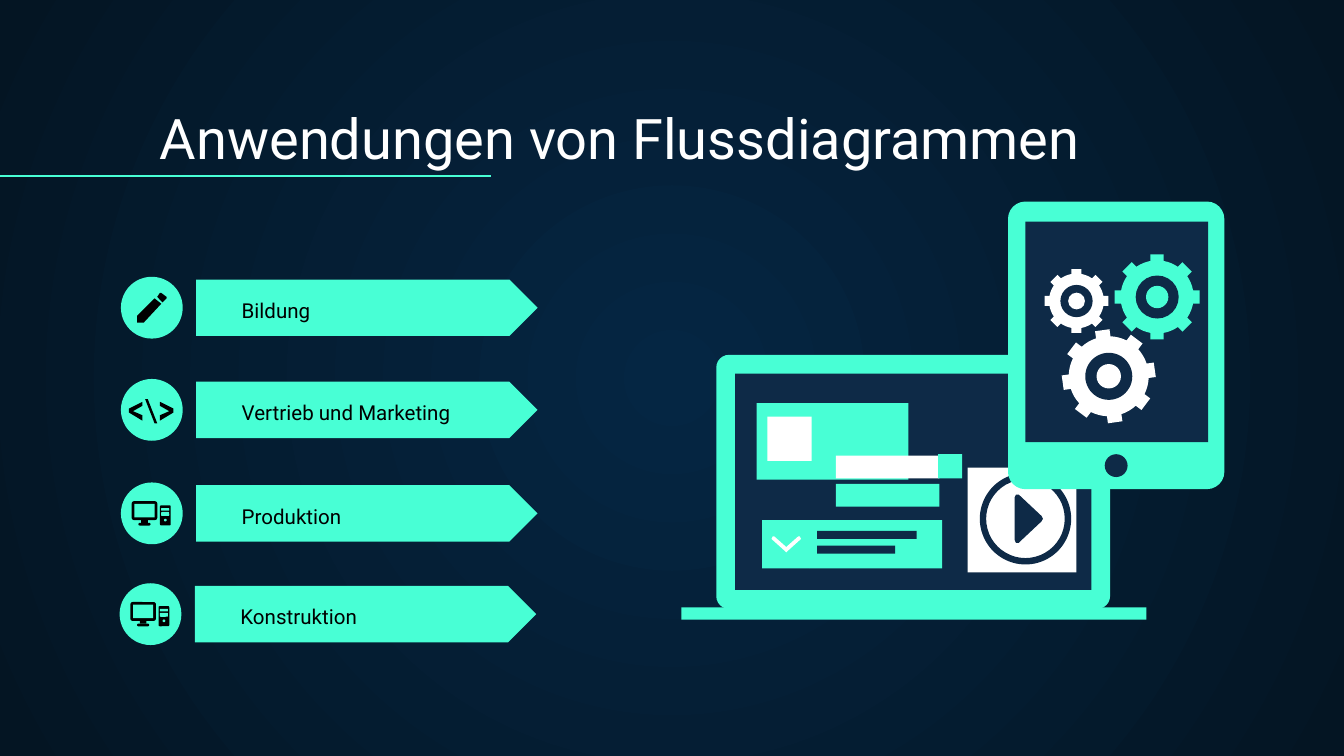
import math
import pptx
import pptx.util
import pptx.dml.color
import pptx.enum.shapes
import pptx.enum.text
import pptx.oxml.ns
from lxml import etree

Inches = pptx.util.Inches
qn = pptx.oxml.ns.qn
KIND = pptx.enum.shapes.MSO_SHAPE
RECT, ROUND, OVAL = KIND.RECTANGLE, KIND.ROUNDED_RECTANGLE, KIND.OVAL

THEME = {
    "mint": "48FFD5", "navy": "0E2A47", "white": "FFFFFF", "black": "000000",
    "glow": "052643", "edge": "041523",
    "font": "Roboto", "title": 30, "label": 11, "rule": 0.75,
}

TITLE = "Anwendungen von Flussdiagrammen"
# label, icon, left and top of the round badge
ROWS = [
    ("Bildung", "pencil", 0.9, 2.06),
    ("Vertrieb und Marketing", "code", 0.9, 2.82),
    ("Produktion", "computer", 0.9, 3.59),
    ("Konstruktion", "computer", 0.89, 4.34),
]
BADGE, PLATE_W, PLATE_H = 0.46, 2.54, 0.42

# Part: (preset, colour, left, top, width, height[, adjustment]) or ("poly", colour, points)
# Icon parts are measured from the corner of the badge.
ICONS = {
    "pencil": [
        ("poly", "black", [(0.25, 0.16), (0.12, 0.29), (0.12, 0.34), (0.17, 0.34), (0.3, 0.2)]),
        ("poly", "black", [(0.29, 0.12), (0.27, 0.15), (0.31, 0.19), (0.34, 0.16),
                           (0.34, 0.15), (0.3, 0.12)]),
    ],
    "code": [
        ("poly", "black", [(0.16, 0.31), (0.06, 0.25), (0.06, 0.22), (0.16, 0.17),
                           (0.16, 0.2), (0.09, 0.24), (0.16, 0.27)]),
        ("poly", "black", [(0.25, 0.33), (0.18, 0.15), (0.2, 0.15), (0.27, 0.33)]),
        ("poly", "black", [(0.29, 0.31), (0.29, 0.27), (0.36, 0.24), (0.29, 0.2),
                           (0.29, 0.17), (0.39, 0.22), (0.39, 0.25)]),
    ],
    "computer": [
        (ROUND, "black", 0.08, 0.14, 0.19, 0.14, 0.12),
        (RECT, "mint", 0.1, 0.16, 0.15, 0.1),
        (RECT, "black", 0.15, 0.28, 0.05, 0.02),
        (ROUND, "black", 0.13, 0.3, 0.09, 0.02, 0.5),
        (ROUND, "black", 0.29, 0.17, 0.08, 0.15, 0.12),
        (ROUND, "mint", 0.3, 0.19, 0.06, 0.02, 0.2),
        (ROUND, "mint", 0.3, 0.22, 0.06, 0.03, 0.2),
        (OVAL, "mint", 0.32, 0.27, 0.02, 0.02),
    ],
}

LAPTOP = [
    (ROUND, "mint", 5.33, 2.64, 2.93, 1.89, 0.05),
    (RECT, "navy", 5.47, 2.78, 2.65, 1.61),
    (RECT, "mint", 5.07, 4.52, 3.46, 0.09),
    (RECT, "mint", 5.63, 3, 1.13, 0.57),
    (RECT, "white", 5.71, 3.1, 0.33, 0.33),
    (RECT, "mint", 6.02, 3.87, 0.99, 0.36),
    (RECT, "navy", 6.08, 3.95, 0.74, 0.06),
    (RECT, "navy", 6.08, 4.06, 0.58, 0.06),
    (RECT, "mint", 5.67, 3.87, 0.35, 0.36),
    ("poly", "white", [(5.75, 3.99), (5.76, 3.99), (5.85, 4.07), (5.94, 3.99), (5.95, 3.99),
                       (5.96, 4.01), (5.86, 4.1), (5.85, 4.11), (5.84, 4.1), (5.74, 4.01)]),
    (RECT, "mint", 6.22, 3.6, 0.77, 0.17),
    (RECT, "white", 6.22, 3.39, 0.77, 0.17),
    (RECT, "mint", 6.98, 3.38, 0.18, 0.18),
    (RECT, "white", 7.2, 3.48, 0.81, 0.78),
    (KIND.DONUT, "navy", 7.29, 3.52, 0.68, 0.68, 0.07),
    ("poly", "navy", [(7.55, 3.7), (7.56, 3.68), (7.58, 3.68), (7.59, 3.69), (7.75, 3.84),
                      (7.76, 3.86), (7.75, 3.88), (7.59, 4.03), (7.58, 4.04), (7.56, 4.04),
                      (7.55, 4.02)]),
]
TABLET = [
    (ROUND, "mint", 7.5, 1.5, 1.61, 2.14, 0.08),
    (RECT, "navy", 7.63, 1.65, 1.36, 1.64),
    (OVAL, "navy", 8.22, 3.38, 0.17, 0.17),
]
# centre x, centre y, outer radius, turn in degrees, colour
GEARS = [
    (8.61, 2.21, 0.32, 0, "mint"),
    (8.01, 2.24, 0.24, 0, "white"),
    (8.25, 2.8, 0.35, -8, "white"),
]


def rgb(name):
    """Return a theme colour."""
    return pptx.dml.color.RGBColor.from_string(THEME[name])


def draw(s, part, dx=0, dy=0):
    """Draw one flat part, moved by dx and dy."""
    kind, colour, *geo = part
    if kind == "poly":
        pts = [(Inches(x + dx), Inches(y + dy)) for x, y in geo[0]]
        builder = s.shapes.build_freeform(*pts[0])
        builder.add_line_segments(pts[1:], close=True)
        sp = builder.convert_to_shape()
    else:
        x, y, w, h, *adj = geo
        sp = s.shapes.add_shape(kind, Inches(x + dx), Inches(y + dy), Inches(w), Inches(h))
        if adj:
            sp.adjustments[0] = adj[0]
    sp.fill.solid()
    sp.fill.fore_color.rgb = rgb(colour)
    sp.line.fill.background()
    sp.shadow.inherit = False


def write(sp, text, size, colour):
    """Put one line of bottom-anchored, left-aligned text in a shape."""
    tf = sp.text_frame
    frame = {"word_wrap": True, "auto_size": pptx.enum.text.MSO_AUTO_SIZE.NONE,
             "vertical_anchor": pptx.enum.text.MSO_ANCHOR.BOTTOM}
    frame.update({f"margin_{side}": Inches(0.1) for side in ("left", "top", "right", "bottom")})
    for key, value in frame.items():
        setattr(tf, key, value)
    p = tf.paragraphs[0]
    p.alignment = pptx.enum.text.PP_ALIGN.LEFT
    r = p.add_run()
    r.text = text
    for key, value in {"name": THEME["font"], "size": pptx.util.Pt(THEME[size])}.items():
        setattr(r.font, key, value)
    r.font.color.rgb = rgb(colour)


def gear(s, cx, cy, radius, turn, colour, teeth=8):
    """Draw a toothed wheel with a dark ring around its hub."""
    step, half = 360 / teeth, math.degrees(math.asin(0.155 / 0.85))
    tip = math.degrees(math.asin(0.155))
    gap = [half + (step - 2 * half) * i / 4 for i in range(5)]
    profile = [(-tip, 1), (tip, 1)] + [(a, 0.85) for a in gap]
    pts = []
    for tooth in range(teeth):
        for angle, ratio in profile:
            a = math.radians(turn + tooth * step + angle)
            pts.append((cx + radius * ratio * math.sin(a), cy - radius * ratio * math.cos(a)))
    draw(s, ("poly", colour, pts))
    for ratio, fill in ((0.5, "navy"), (0.26, colour)):
        r = radius * ratio
        draw(s, (OVAL, fill, cx - r, cy - r, 2 * r, 2 * r))


def paint_background(s):
    """Fill the slide with a round gradient, brightest in the middle."""
    fill = s.background.fill
    fill.gradient()
    for stop, name in zip(fill.gradient_stops, ("glow", "edge")):
        stop.color.rgb = rgb(name)
    grad = s.background._cSld.find(".//" + qn("a:gradFill"))
    for lin in grad.findall(qn("a:lin")):
        grad.remove(lin)
    circle = etree.SubElement(grad, qn("a:path"), {"path": "circle"})
    etree.SubElement(circle, qn("a:fillToRect"), {side: "50000" for side in "ltrb"})


def add_title(s):
    """Set the title and the rule below it."""
    sp = s.shapes.title
    box = {"left": 1.09, "top": 0.71, "width": 8.57, "height": 0.66}
    for key, value in box.items():
        setattr(sp, key, Inches(value))
    write(sp, TITLE, "title", "white")
    rule = s.shapes.add_connector(pptx.enum.shapes.MSO_CONNECTOR.STRAIGHT,
                                  0, Inches(1.31), Inches(3.65), Inches(1.31))
    rule.line.color.rgb = rgb("mint")
    rule.line.width = pptx.util.Pt(THEME["rule"])
    etree.SubElement(rule._element.spPr, qn("a:effectLst"))


def add_row(s, label, icon, x, y):
    """Draw one badge with its icon and labelled arrow plate."""
    plate_y = y + (BADGE - PLATE_H) / 2
    draw(s, (KIND.PENTAGON, "mint", x + 0.56, plate_y, PLATE_W, PLATE_H, 0.5))
    draw(s, (OVAL, "mint", x, y, BADGE, BADGE))
    for part in ICONS[icon]:
        draw(s, part, x, y)
    sp = s.shapes.add_textbox(Inches(x + 0.8), Inches(plate_y + 0.21), Inches(2.27), Inches(0.21))
    write(sp, label, "label", "black")


def main():
    """Build and save the slide."""
    prs = pptx.Presentation()
    prs.slide_width = Inches(10)
    prs.slide_height = prs.slide_width * 9 // 16
    s = prs.slides.add_slide(prs.slide_layouts[5])
    paint_background(s)
    add_title(s)
    for row in ROWS:
        add_row(s, *row)
    for part in LAPTOP + TABLET:
        draw(s, part)
    for wheel in GEARS:
        gear(s, *wheel)
    prs.save("out.pptx")


main()
